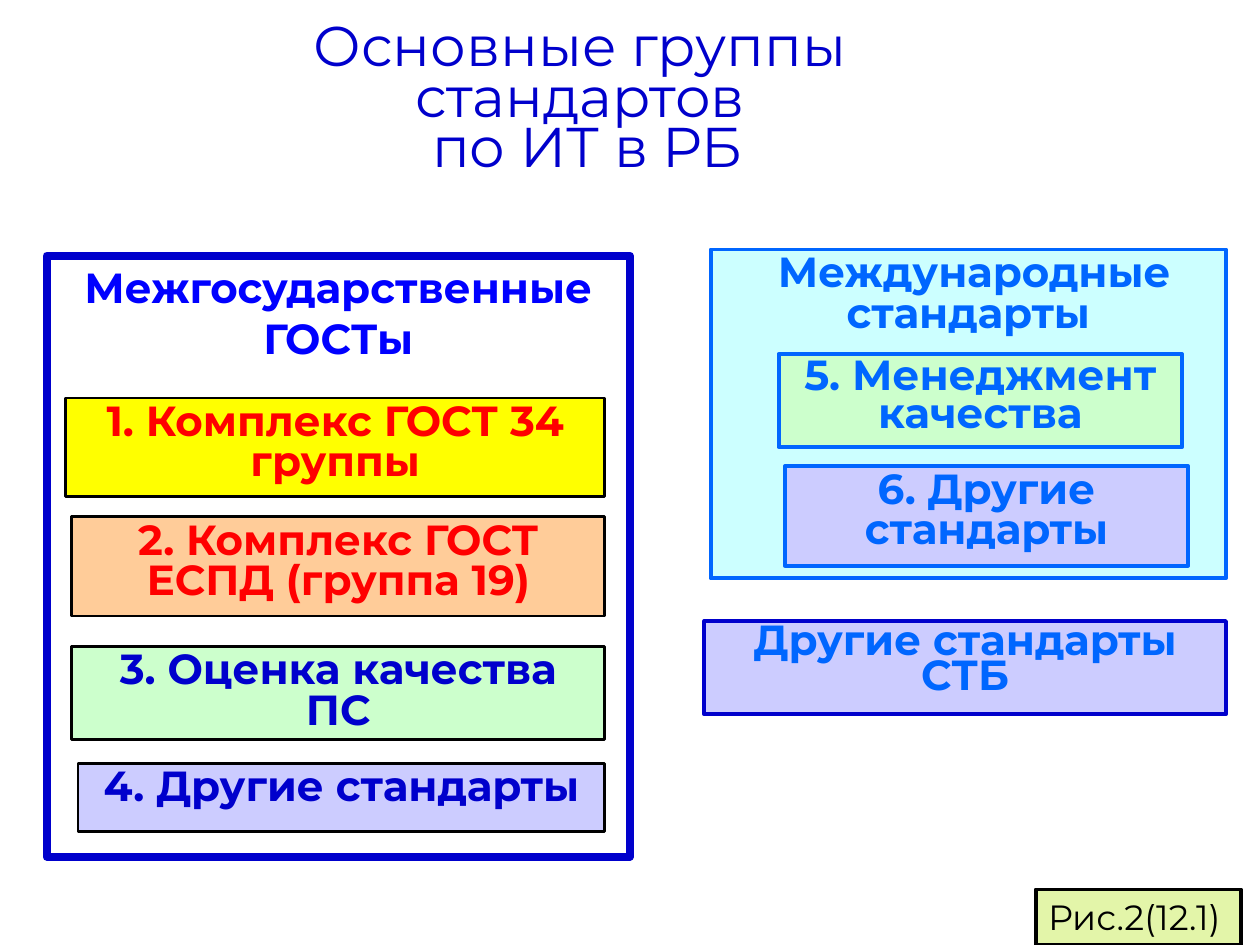
from dataclasses import dataclass

from pptx import Presentation
from pptx import util as u
from pptx.dml.color import RGBColor
from pptx.enum import shapes, text

COLUMNS, ROWS = 100, 75
FONT = "Montserrat"

BLACK = RGBColor(0x00, 0x00, 0x00)
WHITE = RGBColor(0xFF, 0xFF, 0xFF)
NAVY = RGBColor(0x00, 0x00, 0xCC)
BLUE = RGBColor(0x00, 0x00, 0xFF)
AZURE = RGBColor(0x00, 0x66, 0xFF)
RED = RGBColor(0xFF, 0x00, 0x00)
CYAN = RGBColor(0xCC, 0xFF, 0xFF)
GREEN = RGBColor(0xCC, 0xFF, 0xCC)
LILAC = RGBColor(0xCC, 0xCC, 0xFF)
YELLOW = RGBColor(0xFF, 0xFF, 0x00)
PEACH = RGBColor(0xFF, 0xCC, 0x99)
LIME = RGBColor(0xE3, 0xF5, 0xA9)


@dataclass(frozen=True)
class Area:
    column: float
    row: float
    columns: float
    rows: float


@dataclass(frozen=True)
class Block:
    words: str
    area: Area
    fill: RGBColor
    border: RGBColor
    color: RGBColor
    weight: float = 2.25
    spacing: float = 0.8


INTERNATIONAL = [
    Block(" Международные стандарты", Area(56.4, 19.8, 40.9, 26.1), CYAN, AZURE, AZURE),
    Block("5. Менеджмент качества", Area(61.8, 28.1, 32, 7.4), GREEN, AZURE, AZURE, spacing=0.75),
    Block("6. Другие стандарты", Area(62.3, 37, 32, 7.9), LILAC, AZURE, AZURE),
    Block("Другие стандарты\nСТБ", Area(55.9, 49.3, 41.4, 7.4), LILAC, NAVY, AZURE, spacing=0.7),
]

INTERSTATE = [
    Block("Межгосударственные ГОСТы", Area(3.7, 20.3, 46.3, 47.7), WHITE, NAVY, BLUE, 4.5, 1),
    Block("1. Комплекс ГОСТ 34 группы", Area(5.2, 31.6, 42.8, 7.8), YELLOW, BLACK, RED, 1.5),
    Block("2. Комплекс ГОСТ ЕСПД (группа 19)", Area(5.7, 41, 42.3, 7.9), PEACH, BLACK, RED, 1.5),
    Block("3. Оценка качества ПС", Area(5.7, 51.3, 42.3, 7.4), GREEN, BLACK, NAVY, 1.5),
    Block("4. Другие стандарты", Area(6.2, 60.6, 41.8, 5.4), LILAC, BLACK, NAVY, 1.5),
]

TITLE = "Основные группы стандартов\n по ИТ в РБ"
TITLE_AREA = Area(12.3, 1.6, 67.5, 9)
CAPTION = Block("Рис.2(12.1)", Area(82.2, 70.6, 16.3, 4.4), LIME, BLACK, BLACK)


def place(deck, area: Area) -> tuple[int, int, int, int]:
    column, row = deck.slide_width / COLUMNS, deck.slide_height / ROWS
    return (
        round(area.column * column),
        round(area.row * row),
        round(area.columns * column),
        round(area.rows * row),
    )


def write(
    box,
    words: str,
    *,
    color: RGBColor,
    size: float = 24,
    bold: bool = False,
    spacing: float = 1,
    align=text.PP_ALIGN.CENTER,
    wrap: bool = True,
) -> None:
    frame = box.text_frame
    frame.word_wrap = wrap
    frame.vertical_anchor = text.MSO_ANCHOR.TOP
    for index, line in enumerate(words.split("\n")):
        para = frame.add_paragraph() if index else frame.paragraphs[0]
        para.alignment = align
        para.line_spacing = spacing
        span = para.add_run()
        span.text = line
        span.font.name = FONT
        span.font.size = u.Pt(size)
        span.font.bold = bold
        span.font.color.rgb = color


def draw_box(deck, parent, block: Block):
    box = parent.add_shape(shapes.MSO_SHAPE.RECTANGLE, *place(deck, block.area))
    box.shadow.inherit = False
    box.fill.solid()
    box.fill.fore_color.rgb = block.fill
    box.line.color.rgb = block.border
    box.line.width = u.Pt(block.weight)
    return box


def draw_block(deck, parent, block: Block) -> None:
    box = draw_box(deck, parent, block)
    write(box, block.words, color=block.color, bold=True, spacing=block.spacing)


def main() -> None:
    deck = Presentation()
    deck.slide_width, deck.slide_height = u.Inches(10), u.Inches(7.5)
    page = deck.slides.add_slide(deck.slide_layouts[6])

    for block in INTERNATIONAL:
        draw_block(deck, page.shapes, block)

    title = page.shapes.add_textbox(*place(deck, TITLE_AREA))
    write(title, TITLE, color=NAVY, size=32, spacing=0.75)

    caption = draw_box(deck, page.shapes, CAPTION)
    write(caption, CAPTION.words, color=CAPTION.color, size=20,
          align=text.PP_ALIGN.LEFT, wrap=False)

    group = page.shapes.add_group_shape()
    for block in INTERSTATE:
        draw_block(deck, group.shapes, block)

    deck.save("out.pptx")


if __name__ == "__main__":
    main()
